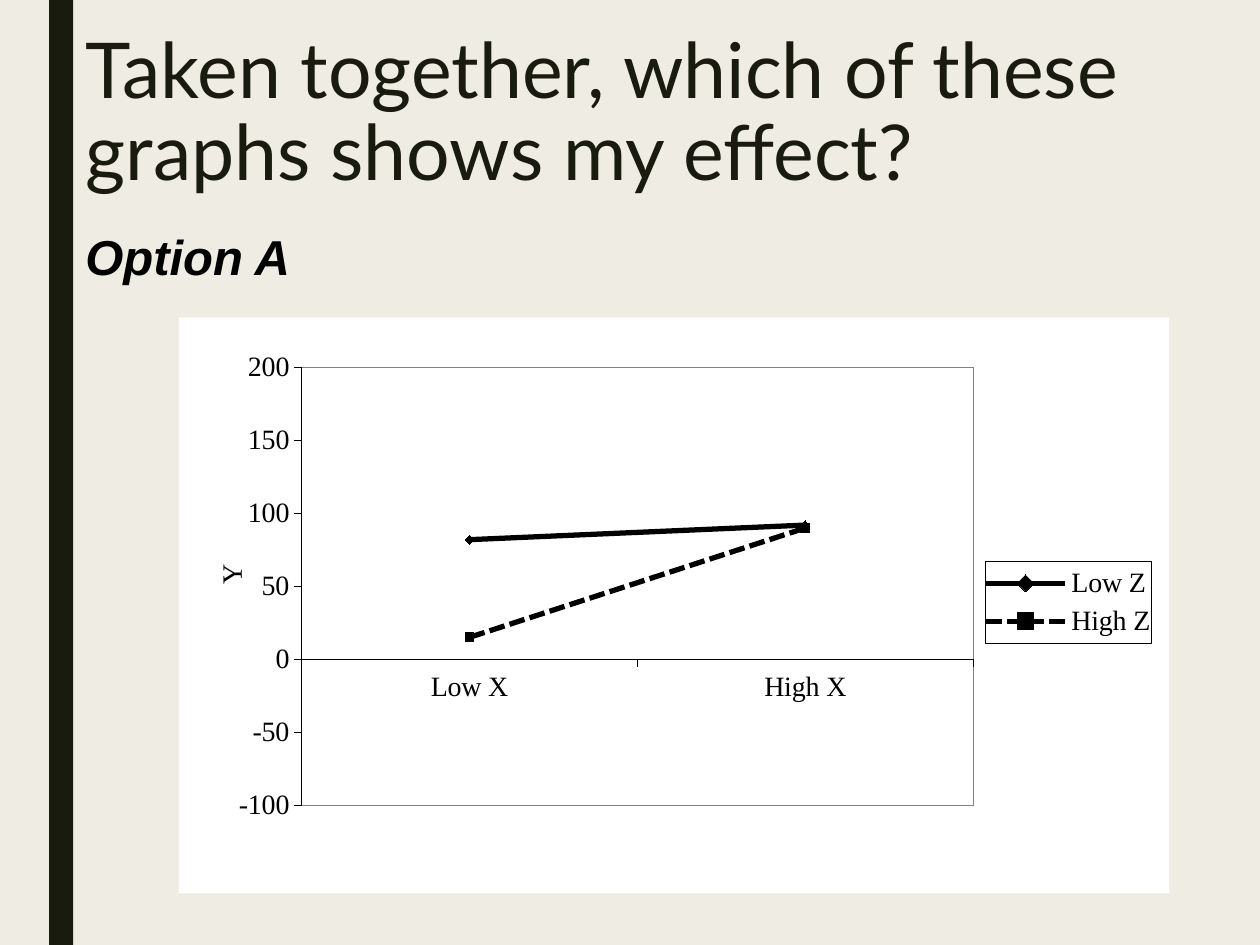
from lxml.etree import SubElement, fromstring
from pptx import Presentation
from pptx.chart.data import CategoryChartData
from pptx.dml.color import RGBColor
from pptx.enum.chart import XL_CHART_TYPE as ChartType, XL_LEGEND_POSITION as LegendPosition
from pptx.enum.chart import XL_MARKER_STYLE as Marker, XL_TICK_MARK as Tick
from pptx.enum.dml import MSO_LINE as Dash
from pptx.enum.shapes import MSO_SHAPE as Shape
from pptx.enum.text import MSO_ANCHOR as Anchor
from pptx.oxml.ns import qn
from pptx.util import Inches, Pt

DARK, BLACK, WHITE, GREY, CREAM = "191B0E", "000000", "FFFFFF", "808080", "EFEDE3"
SLIDE = (10, 7.5)
TITLE = "Taken together, which of these graphs shows my effect?"
OPTION = "Option A"
PLACES = {
    "stripe": (0.39, 0, 0.19, 7.5),
    "title": (0.58, 0.21, 8.75, 1.67),
    "option": (0.58, 1.75, 2.67, 0.57),
    "chart": (1.42, 2.52, 7.86, 4.57),
}
TITLE_FONT = {"name": "Lato", "size": Pt(44), "bold": False}
OPTION_FONT = {"name": "Arial", "size": Pt(28), "bold": True, "italic": True}
CHART_FONT = {"name": "Times New Roman", "size": Pt(16), "bold": False}
CATEGORIES = ("Low X", "High X")
SERIES = [
    ("Low Z", (82, 92), Marker.DIAMOND, Dash.SOLID),
    ("High Z", (15, 90), Marker.SQUARE, Dash.SQUARE_DOT),
]
VALUE_SCALE = {"minimum_scale": -100, "maximum_scale": 200, "major_unit": 50,
               "has_major_gridlines": False}
PLOT_SHARE = {"x": 0.124, "y": 0.087, "w": 0.678, "h": 0.76}
LEGEND_SHARE = {"x": 0.814, "y": 0.423, "w": 0.168, "h": 0.143}
Y_SHARE = {"x": 0.03, "y": 0.42}
SPACES = ('xmlns:c="http://schemas.openxmlformats.org/drawingml/2006/chart" '
          'xmlns:a="http://schemas.openxmlformats.org/drawingml/2006/main"')


def color(code):
    return RGBColor.from_string(code)


def place(name):
    return [Inches(length) for length in PLACES[name]]


def apply(target, values):
    for key, value in values.items():
        setattr(target, key, value)


def style(font, values, code):
    apply(font, values)
    font.color.rgb = color(code)


def frame_xml(fill, line=None):
    edge = (f'<a:ln w="3175"><a:solidFill><a:srgbClr val="{line}"/></a:solidFill></a:ln>'
            if line else "<a:ln><a:noFill/></a:ln>")
    return fromstring(f'<c:spPr {SPACES}><a:solidFill><a:srgbClr val="{fill}"/>'
                      f"</a:solidFill>{edge}</c:spPr>")


def set_layout(parent, index, shares, inner=False):
    for old in parent.findall(qn("c:layout")):
        parent.remove(old)
    layout = parent.makeelement(qn("c:layout"))
    parent.insert(index, layout)
    manual = SubElement(layout, qn("c:manualLayout"))
    entries = [("layoutTarget", "inner")] if inner else []
    entries += [(f"{side}Mode", "edge") for side in "xy"]
    entries += [(side, str(share)) for side, share in shares.items()]
    for tag, value in entries:
        SubElement(manual, qn(f"c:{tag}")).set("val", value)


def add_headings(slide):
    title = slide.shapes.title
    apply(title, dict(zip(("left", "top", "width", "height"), place("title"))))
    option = slide.shapes.add_textbox(*place("option"))
    for box, words, font, code in ((title, TITLE, TITLE_FONT, DARK),
                                   (option, OPTION, OPTION_FONT, BLACK)):
        frame = box.text_frame
        apply(frame, {"text": words, "word_wrap": True, "vertical_anchor": Anchor.TOP})
        style(frame.paragraphs[0].runs[0].font, font, code)
    apply(title.text_frame.paragraphs[0], {"line_spacing": 0.89, "alignment": 1})


def add_effect_chart(slide):
    data = CategoryChartData()
    data.categories = CATEGORIES
    for name, values, *_ in SERIES:
        data.add_series(name, values)
    chart = slide.shapes.add_chart(ChartType.LINE_MARKERS, *place("chart"), data).chart
    apply(chart, {"has_title": False, "has_legend": True})
    style(chart.font, CHART_FONT, BLACK)
    chart.plots[0].vary_by_categories = False

    for series, (_, _, marker, dash) in zip(chart.plots[0].series, SERIES):
        series.smooth = False
        apply(series.format.line, {"width": Pt(3), "dash_style": dash})
        series.format.line.color.rgb = color(BLACK)
        apply(series.marker, {"style": marker, "size": 5})
        series.marker.format.fill.solid()
        series.marker.format.fill.fore_color.rgb = color(BLACK)
        series.marker.format.line.color.rgb = color(BLACK)

    value_axis = chart.value_axis
    apply(value_axis, VALUE_SCALE)
    for axis in (chart.category_axis, value_axis):
        apply(axis, {"major_tick_mark": Tick.OUTSIDE, "minor_tick_mark": Tick.NONE})
        axis.format.line.width = Pt(0.25)
        axis.format.line.color.rgb = color(BLACK)

    heading = value_axis.axis_title
    heading.text_frame.text = "Y"
    style(heading.text_frame.paragraphs[0].runs[0].font, CHART_FONT, BLACK)
    body = next(heading.text_frame.paragraphs[0]._p.itersiblings(qn("a:bodyPr"), preceding=True))
    apply_rotation = {"rot": "-5400000", "vert": "horz"}
    body.attrib.update(apply_rotation)
    set_layout(value_axis._element.find(qn("c:title")), 1, Y_SHARE)

    legend = chart.legend
    apply(legend, {"position": LegendPosition.RIGHT, "include_in_layout": False})
    set_layout(legend._element, 1, LEGEND_SHARE)
    legend._element.append(frame_xml(WHITE, BLACK))

    space = chart._chartSpace
    plot_area = space.chart.plotArea
    set_layout(plot_area, 0, PLOT_SHARE, inner=True)
    plot_area.append(frame_xml(WHITE, GREY))
    space.find(qn("c:txPr")).addprevious(frame_xml(WHITE))


def main():
    """Build the slide that asks which graph shows the effect."""
    deck = Presentation()
    deck.slide_width, deck.slide_height = map(Inches, SLIDE)
    slide = deck.slides.add_slide(deck.slide_layouts[5])
    slide.background.fill.solid()
    slide.background.fill.fore_color.rgb = color(CREAM)
    stripe = slide.shapes.add_shape(Shape.RECTANGLE, *place("stripe"))
    stripe.shadow.inherit = False
    stripe.fill.solid()
    stripe.fill.fore_color.rgb = color(DARK)
    stripe.line.fill.background()
    add_headings(slide)
    add_effect_chart(slide)
    deck.save("out.pptx")


if __name__ == "__main__":
    main()
